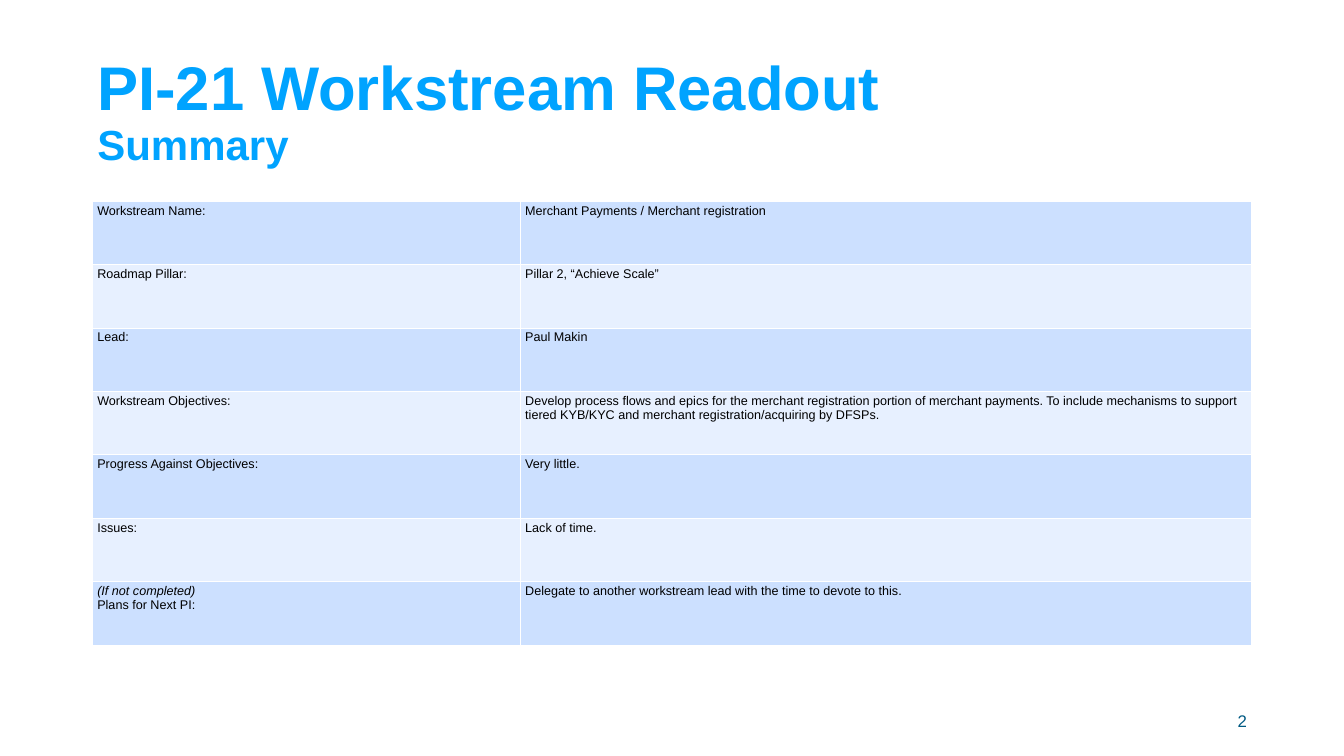
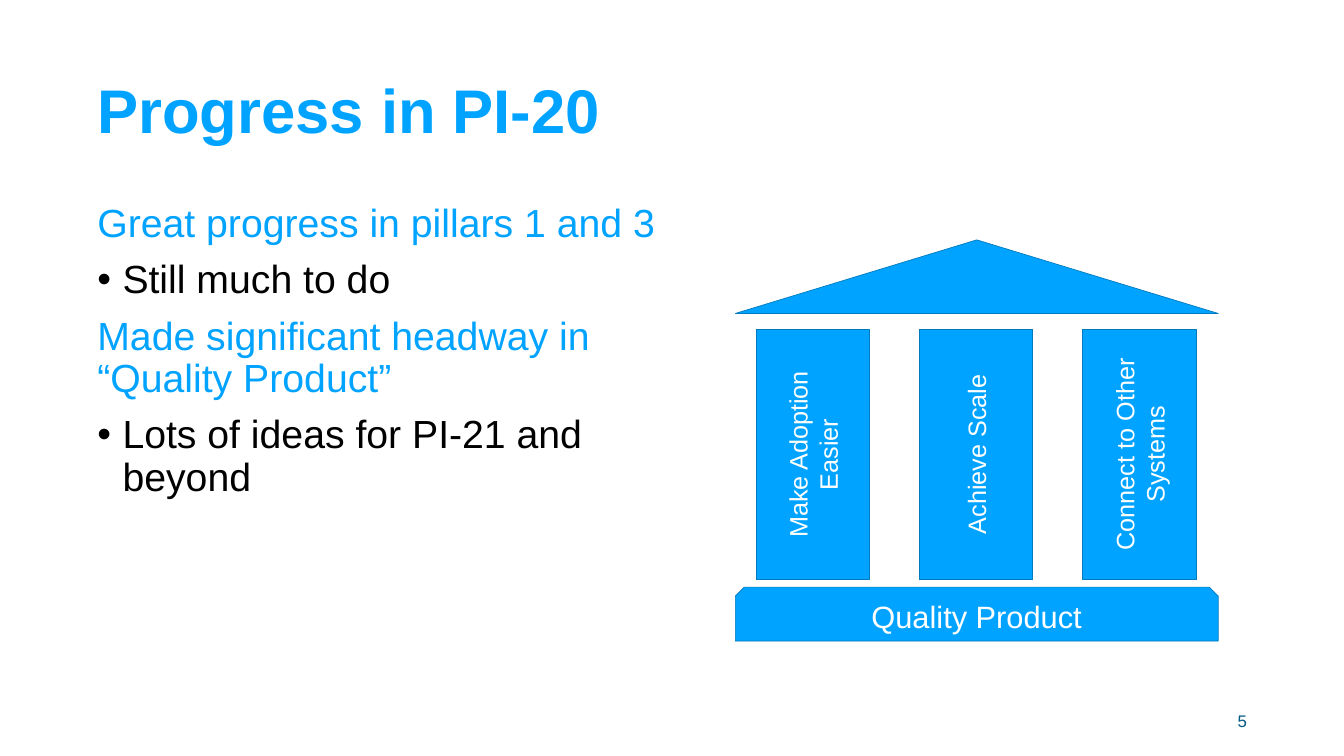
from lxml.etree import SubElement
from pptx import Presentation
from pptx.dml.color import RGBColor
from pptx.enum.shapes import MSO_SHAPE
from pptx.enum.text import MSO_ANCHOR, MSO_AUTO_SIZE, PP_ALIGN
from pptx.oxml.ns import qn
from pptx.util import Pt

FONT = "Arial"
BLUE = RGBColor(0x00, 0xA3, 0xFF)
DARK_BLUE = RGBColor(0x00, 0x79, 0xBD)
NUMBER_BLUE = RGBColor(0x00, 0x5A, 0x83)
BAND_DARK = RGBColor(0xCC, 0xE0, 0xFF)
BAND_LIGHT = RGBColor(0xE7, 0xF0, 0xFF)
BLACK = RGBColor(0x00, 0x00, 0x00)
WHITE = RGBColor(0xFF, 0xFF, 0xFF)

TITLE_ONLY, TITLE_AND_BODY = 5, 1
LEFT, CONTENT_TOP = 131.8, 287.3

SUMMARY_ROWS = [
    (["Workstream Name:"], "Merchant Payments / Merchant registration"),
    (["Roadmap Pillar:"], "Pillar 2, “Achieve Scale”"),
    (["Lead:"], "Paul Makin"),
    (["Workstream Objectives:"],
     "Develop process flows and epics for the merchant registration portion of "
     "merchant payments. To include mechanisms to support tiered KYB/KYC and "
     "merchant registration/acquiring by DFSPs."),
    (["Progress Against Objectives:"], "Very little."),
    (["Issues:"], "Lack of time."),
    (["(If not completed)", "Plans for Next PI:"],
     "Delegate to another workstream lead with the time to devote to this."),
]
PROGRESS_POINTS = [
    ("Great progress in pillars 1 and 3", False),
    ("Still much to do", True),
    ("Made significant headway in “Quality Product”", False),
    ("Lots of ideas for PI-21 and beyond", True),
]
PILLARS = ["Make Adoption Easier", "Achieve Scale", "Connect to Other Systems"]


def add_run(para, text, size, color, bold=False, italic=False):
    span = para.add_run()
    span.text = text
    font = span.font
    font.name, font.size, font.bold, font.italic = FONT, Pt(size), bold, italic
    font.color.rgb = color


def place(box, left, top, width, height):
    box.left, box.top, box.width, box.height = map(Pt, (left, top, width, height))


def next_paragraph(frame, index):
    return frame.add_paragraph() if index else frame.paragraphs[0]


def add_page(deck, layout, title, number, subtitle=None):
    """Add a slide with its title, optional second title line and page number."""
    page = deck.slides.add_slide(deck.slide_layouts[layout])
    box = page.shapes.title
    place(box, LEFT, 57.6, 1486, 208.8)
    frame = box.text_frame
    frame.auto_size = MSO_AUTO_SIZE.NONE
    frame.vertical_anchor = MSO_ANCHOR.MIDDLE
    para = frame.paragraphs[0]
    para.alignment, para.line_spacing = PP_ALIGN.LEFT, 0.9
    add_run(para, title, 88, BLUE, bold=True)
    if subtitle:
        para.add_line_break()
        add_run(para, subtitle, 60, BLUE, bold=True)

    box = page.shapes.add_textbox(Pt(1356.5), Pt(1000.8), Pt(432), Pt(57.6))
    box.text_frame.word_wrap = True
    box.text_frame.vertical_anchor = MSO_ANCHOR.MIDDLE
    para = box.text_frame.paragraphs[0]
    para.alignment = PP_ALIGN.RIGHT
    add_run(para, str(number), 24, NUMBER_BLUE)
    return page


def set_borders(cell, color, width):
    properties = cell._tc.get_or_add_tcPr()
    for side in ("a:lnL", "a:lnR", "a:lnT", "a:lnB"):
        line = SubElement(properties, qn(side), w=str(Pt(width)))
        SubElement(SubElement(line, qn("a:solidFill")), qn("a:srgbClr"), val=str(color))


def fill_cell(cell, lines, band):
    set_borders(cell, WHITE, 1)
    cell.fill.solid()
    cell.fill.fore_color.rgb = band
    for index, line in enumerate(lines):
        para = next_paragraph(cell.text_frame, index)
        add_run(para, line, 18, BLACK, italic=line.startswith("("))


def add_summary_table(page, rows):
    widths, row_height = (611.3, 1044.7), 90.6
    table = page.shapes.add_table(
        len(rows), len(widths), Pt(LEFT), Pt(CONTENT_TOP),
        Pt(sum(widths)), Pt(row_height * len(rows))).table
    table.first_row = table.horz_banding = False
    for column, width in zip(table.columns, widths):
        column.width = Pt(width)
    for index, (labels, value) in enumerate(rows):
        table.rows[index].height = Pt(row_height)
        band = BAND_LIGHT if index % 2 else BAND_DARK
        fill_cell(table.cell(index, 0), labels, band)
        fill_cell(table.cell(index, 1), [value], band)


def set_bullet(para, bulleted):
    properties = para._p.get_or_add_pPr()
    indent = Pt(36) if bulleted else 0
    properties.set("marL", str(indent))
    properties.set("indent", str(-indent))
    if bulleted:
        SubElement(properties, qn("a:buFont"), typeface=FONT)
        SubElement(properties, qn("a:buChar"), char="•")
    else:
        SubElement(properties, qn("a:buNone"))


def fill_body(page, points):
    box = page.placeholders[1]
    place(box, LEFT, CONTENT_TOP, 828, 685.4)
    frame = box.text_frame
    frame.auto_size = MSO_AUTO_SIZE.NONE
    for index, (text, bulleted) in enumerate(points):
        para = next_paragraph(frame, index)
        para.line_spacing, para.space_before = 0.9, Pt(20)
        set_bullet(para, bulleted)
        add_run(para, text, 56, BLACK if bulleted else BLUE)


def add_block(shapes, kind, left, top, width, height, text="", size=36, upward=False):
    block = shapes.add_shape(kind, Pt(left), Pt(top), Pt(width), Pt(height))
    block.shadow.inherit = False
    block.fill.solid()
    block.fill.fore_color.rgb = BLUE
    block.line.color.rgb = DARK_BLUE
    block.line.width = Pt(1)
    if text:
        frame = block.text_frame
        frame.word_wrap = True
        frame.vertical_anchor = MSO_ANCHOR.MIDDLE
        if upward:
            block.element.txBody.bodyPr.set("vert", "vert270")
        para = frame.paragraphs[0]
        para.alignment = PP_ALIGN.CENTER
        add_run(para, text, size, WHITE)


def add_temple(page):
    left, width = 1050.5, 689.8
    columns = page.shapes.add_group_shape().shapes
    for index, pillar in enumerate(PILLARS):
        add_block(columns, MSO_SHAPE.RECTANGLE, 1080 + 233.3 * index, 470.2,
                  162, 357.8, pillar, upward=True)
    add_block(columns, MSO_SHAPE.SNIP_2_SAME_RECTANGLE, left, 838.8, width, 77,
              "Quality Product", 44)
    add_block(page.shapes, MSO_SHAPE.ISOSCELES_TRIANGLE, left, 342.7, width, 105.1)


def main():
    deck = Presentation()
    deck.slide_width, deck.slide_height = Pt(1920), Pt(1080)

    summary = add_page(deck, TITLE_ONLY, "PI-21 Workstream Readout", 2, "Summary")
    add_summary_table(summary, SUMMARY_ROWS)

    progress = add_page(deck, TITLE_AND_BODY, "Progress in PI-20", 5)
    fill_body(progress, PROGRESS_POINTS)
    add_temple(progress)

    deck.save("out.pptx")


if __name__ == "__main__":
    main()
